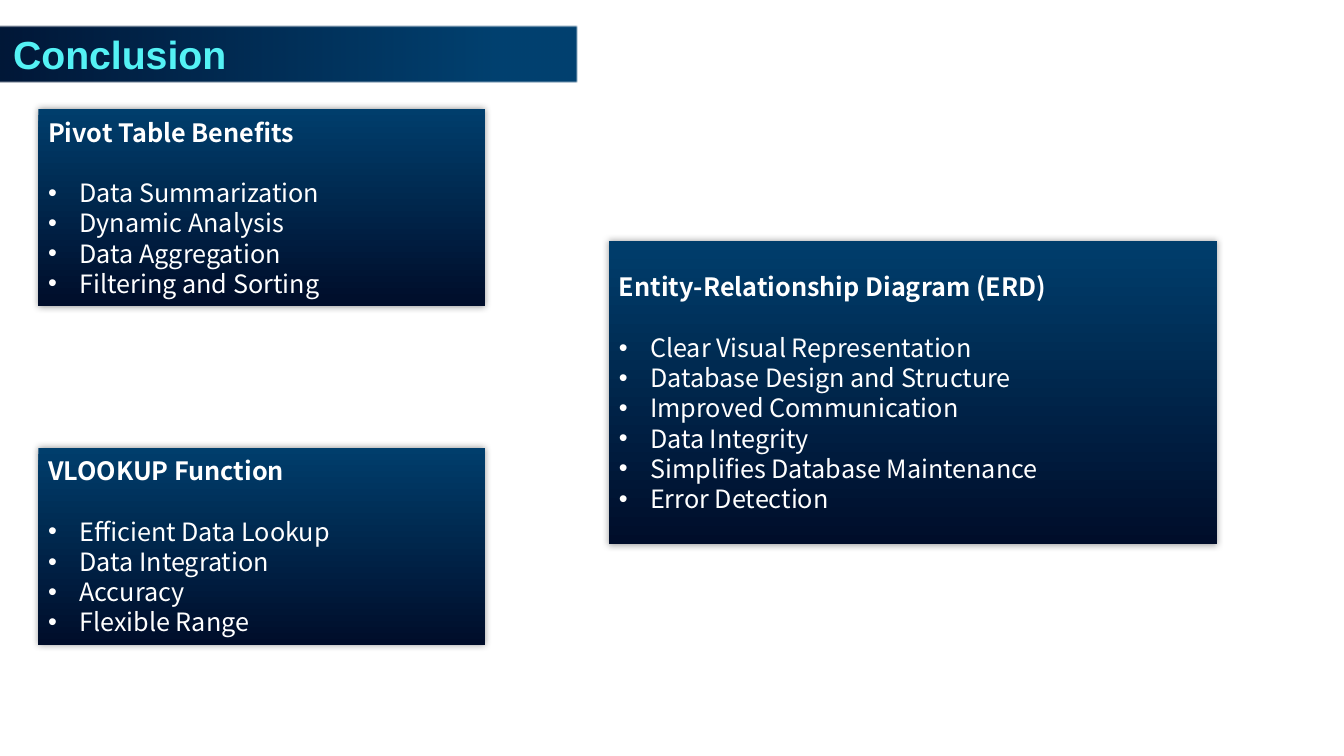
"""Build the Conclusion slide: a title bar and three bulleted summary cards."""
from lxml import etree
from pptx import Presentation
from pptx import util as u
from pptx.dml.color import RGBColor
from pptx.enum import shapes, text
from pptx.oxml import ns

TITLE = "Conclusion"
CARDS = [
    ((0.38, 1.08, 4.43, 1.96), "Pivot Table Benefits",
     ["Data Summarization", "Dynamic Analysis", "Data Aggregation",
      "Filtering and Sorting"]),
    ((0.38, 4.44, 4.43, 1.96), "VLOOKUP Function",
     ["Efficient Data Lookup", "Data Integration", "Accuracy",
      "Flexible Range"]),
    ((6.04, 2.39, 6.03, 3.01), "Entity-Relationship Diagram (ERD)",
     ["Clear Visual Representation", "Database Design and Structure",
      "Improved Communication", "Data Integrity",
      "Simplifies Database Maintenance", "Error Detection"]),
]
TITLE_BAR = (-0.08, 0.25, 5.81, 0.57)
BAR_STOPS = [(0, "001737"), (0.86, "004170")]
CARD_STOPS = [(0, "003E6C"), (1, "000D2A")]
CARD_FONT = "Noto Sans CJK SC"
INDENT = u.Inches(0.31)
HEADING_GAP = 21.6


def color(value):
    return RGBColor.from_string(value)


def add_element(parent, tag, **attributes):
    element = etree.SubElement(parent, ns.qn(tag))
    for name, value in attributes.items():
        element.set(name, str(value))
    return element


def add_panel(page, bounds, stops, angle, anchor):
    box = page.shapes.add_shape(shapes.MSO_SHAPE.RECTANGLE,
                                *map(u.Inches, bounds))
    box.fill.gradient()
    box.fill.gradient_angle = angle
    for stop, (position, value) in zip(box.fill.gradient_stops, stops):
        stop.position = position
        stop.color.rgb = color(value)
    box.line.fill.background()
    box.shadow.inherit = False
    box.text_frame.word_wrap = True
    box.text_frame.vertical_anchor = anchor
    return box, box._element.spPr.find(ns.qn("a:effectLst"))


def write(para, words, *, size=18, font=CARD_FONT, ink="FFFFFF",
          bold=False, bullet=False, after=0):
    para.alignment = text.PP_ALIGN.LEFT
    para.space_after = u.Pt(after)
    if bullet:
        properties = para._p.get_or_add_pPr()
        properties.set("marL", str(INDENT))
        properties.set("indent", str(-INDENT))
        add_element(properties, "a:buFont", typeface="Arial")
        add_element(properties, "a:buChar", char="•")
    span = para.add_run()
    span.text = words
    span.font.size = u.Pt(size)
    span.font.name = font
    span.font.bold = bold
    span.font.color.rgb = color(ink)
    properties = span._r.get_or_add_rPr()
    add_element(properties, "a:ea", typeface=font)


def add_title(page):
    bar, effects = add_panel(page, TITLE_BAR, BAR_STOPS, 0,
                             text.MSO_ANCHOR.TOP)
    add_element(effects, "a:softEdge", rad=u.Pt(1))
    bar.text_frame.margin_left = u.Inches(0.21)
    write(bar.text_frame.paragraphs[0], TITLE, size=28, font="Arial",
          ink="54F2F5", bold=True)


def add_card(page, bounds, heading, points):
    card, effects = add_panel(page, bounds, CARD_STOPS, 270,
                              text.MSO_ANCHOR.MIDDLE)
    shadow = add_element(effects, "a:outerShdw", blurRad=u.Pt(5), dist=0,
                         dir=0, algn="ctr", rotWithShape=0)
    shade = add_element(shadow, "a:srgbClr", val="000000")
    add_element(shade, "a:alpha", val=40000)
    frame = card.text_frame
    write(frame.paragraphs[0], heading, bold=True, after=HEADING_GAP)
    for point in points:
        write(frame.add_paragraph(), point, bullet=True)


def main():
    deck = Presentation()
    deck.slide_width, deck.slide_height = u.Inches(13.33), u.Inches(7.5)
    page = deck.slides.add_slide(deck.slide_layouts[6])
    add_title(page)
    for card in CARDS:
        add_card(page, *card)
    deck.save("out.pptx")


if __name__ == "__main__":
    main()
